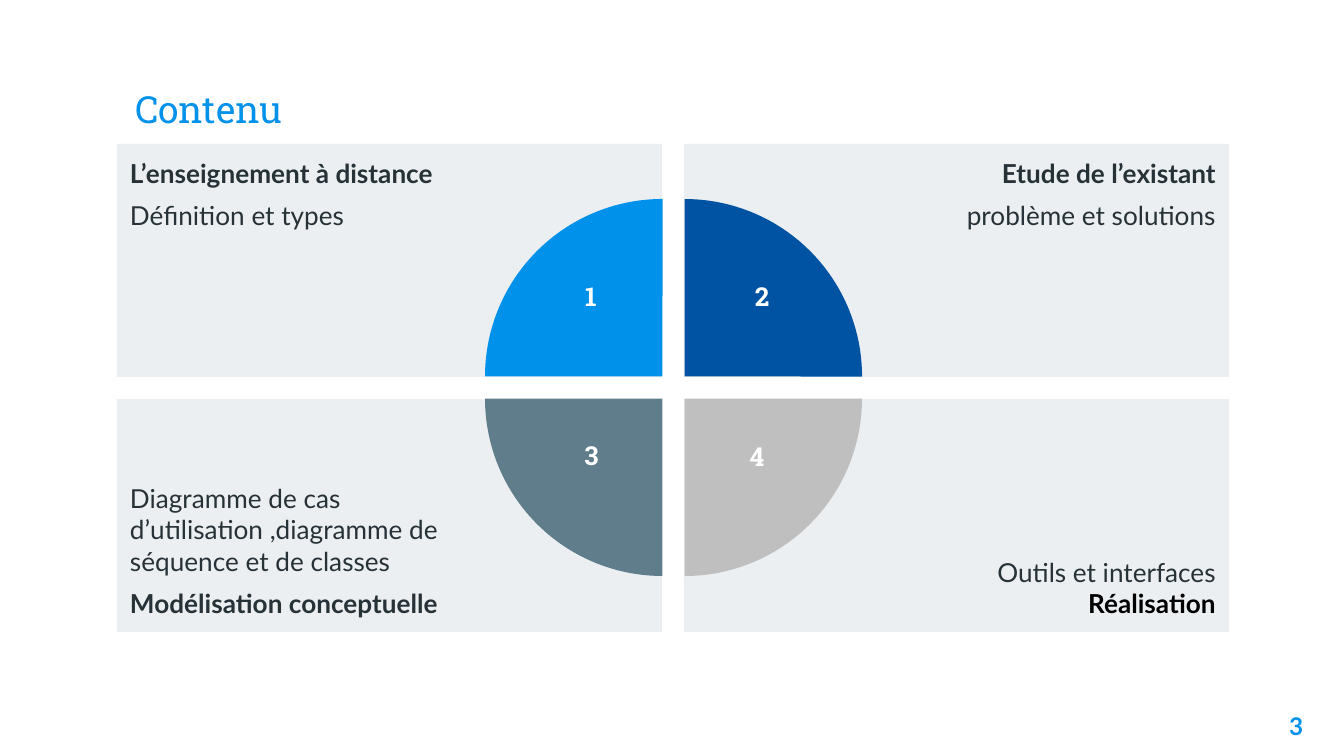
"""Build the contents slide: four panels around a circle split into numbered quarters."""
import pptx
import pptx.dml.color
import pptx.enum.shapes
import pptx.enum.text
import pptx.util

ALIGN = pptx.enum.text.PP_ALIGN
ANCHOR = pptx.enum.text.MSO_ANCHOR
SHAPE = pptx.enum.shapes.MSO_SHAPE

INK, PANEL, ACCENT, WHITE, BLACK = "263238", "ECEFF1", "0091EA", "FFFFFF", "000000"
BODY_FONT, HEAD_FONT = "Lato", "Roboto Slab"

# Each paragraph: text, bold, colour, space before, space after
PANELS = [
    [("L’enseignement à distance", True, INK, 0, 0),
     ("Définition et types", False, INK, 6, 6)],
    [("Etude de l’existant", True, INK, 0, 0),
     ("problème et solutions", False, INK, 6, 6)],
    [("Diagramme de cas d’utilisation ,diagramme de séquence et de classes",
      False, INK, 0, 0),
     ("Modélisation conceptuelle", True, INK, 6, 6)],
    [("Outils et interfaces", False, INK, 0, 0),
     ("Réalisation", True, BLACK, 0, 0)],
]
# Each quarter: colour, rotation, column, row
QUARTERS = [(ACCENT, 0, 0, 0), ("0053A3", 90, 1, 0),
            ("BFBFBF", 180, 1, 1), ("607D8B", 270, 0, 1)]
# Each number: text, box in px
NUMBERS = [("1", (567, 274, 48, 66)), ("3", (562, 433, 59, 66)),
           ("4", (728, 434, 58, 65)), ("2", (738, 274, 48, 66))]

PANEL_LEFT, PANEL_TOP, PANEL_WIDTH, PANEL_HEIGHT, GAP = 117, 144, 545, 233, 22
CIRCLE_LEFT, CIRCLE_TOP, CIRCLE_SIZE = 485, 199, 355
INSET, WIDE_INSET = 13, 202


def px(length):
    return round(length * 914400 / 134.4)


def rgb(colour):
    return pptx.dml.color.RGBColor.from_string(colour)


def set_insets(frame, left=INSET, right=INSET):
    frame.margin_left, frame.margin_right = px(left), px(right)
    frame.margin_top = frame.margin_bottom = px(INSET)


def add_run(paragraph, text, size, font, colour, bold, align=ALIGN.LEFT):
    paragraph.alignment = align
    run = paragraph.add_run()
    run.text = text
    run.font.size = pptx.util.Pt(size)
    run.font.name = font
    run.font.bold = bold
    run.font.color.rgb = rgb(colour)


def add_plain_shape(slide, kind, box, colour):
    shape = slide.shapes.add_shape(kind, *map(px, box))
    shape.shadow.inherit = False
    shape.fill.solid()
    shape.fill.fore_color.rgb = rgb(colour)
    shape.line.fill.background()
    return shape


def add_label(slide, text, box, size, font, colour, align):
    frame = slide.shapes.add_textbox(*map(px, box)).text_frame
    frame.word_wrap = True
    add_run(frame.paragraphs[0], text, size, font, colour, True, align)
    return frame


def add_title(slide):
    title = slide.shapes.title
    title.left, title.top, title.width, title.height = map(px, (122, 40, 1113, 104))
    frame = title.text_frame
    frame.auto_size = pptx.enum.text.MSO_AUTO_SIZE.NONE
    frame.vertical_anchor = ANCHOR.BOTTOM
    set_insets(frame)
    add_run(frame.paragraphs[0], "Contenu", 20, HEAD_FONT, ACCENT, False)


def add_panel(slide, index, lines):
    row, column = divmod(index, 2)
    box = (PANEL_LEFT + column * (PANEL_WIDTH + GAP),
           PANEL_TOP + row * (PANEL_HEIGHT + GAP), PANEL_WIDTH, PANEL_HEIGHT)
    frame = add_plain_shape(slide, SHAPE.RECTANGLE, box, PANEL).text_frame
    frame.word_wrap = True
    frame.vertical_anchor = ANCHOR.BOTTOM if row else ANCHOR.TOP
    set_insets(frame, *((WIDE_INSET, INSET) if column else (INSET, WIDE_INSET)))
    align = ALIGN.RIGHT if column else ALIGN.LEFT
    for position, (text, bold, colour, before, after) in enumerate(lines):
        paragraph = frame.add_paragraph() if position else frame.paragraphs[0]
        paragraph.space_before = pptx.util.Pt(before)
        paragraph.space_after = pptx.util.Pt(after)
        add_run(paragraph, text, 14, BODY_FONT, colour, bold, align)


def main():
    deck = pptx.Presentation()
    deck.slide_width, deck.slide_height = px(1344), px(756)
    slide = deck.slides.add_slide(deck.slide_layouts[5])
    add_title(slide)
    page_number = add_label(slide, "3", (1235, 698, 81, 58), 13, BODY_FONT,
                            ACCENT, ALIGN.RIGHT)
    set_insets(page_number)
    for index, lines in enumerate(PANELS):
        add_panel(slide, index, lines)
    for colour, rotation, column, row in QUARTERS:
        box = (CIRCLE_LEFT + column * GAP, CIRCLE_TOP + row * GAP,
               CIRCLE_SIZE, CIRCLE_SIZE)
        quarter = add_plain_shape(slide, SHAPE.PIE, box, colour)
        quarter.adjustments[0] = 108
        quarter.adjustments[1] = 162
        quarter.rotation = rotation
    for text, box in NUMBERS:
        add_label(slide, text, box, 14, HEAD_FONT, WHITE, ALIGN.CENTER)
    deck.save("out.pptx")


if __name__ == "__main__":
    main()
